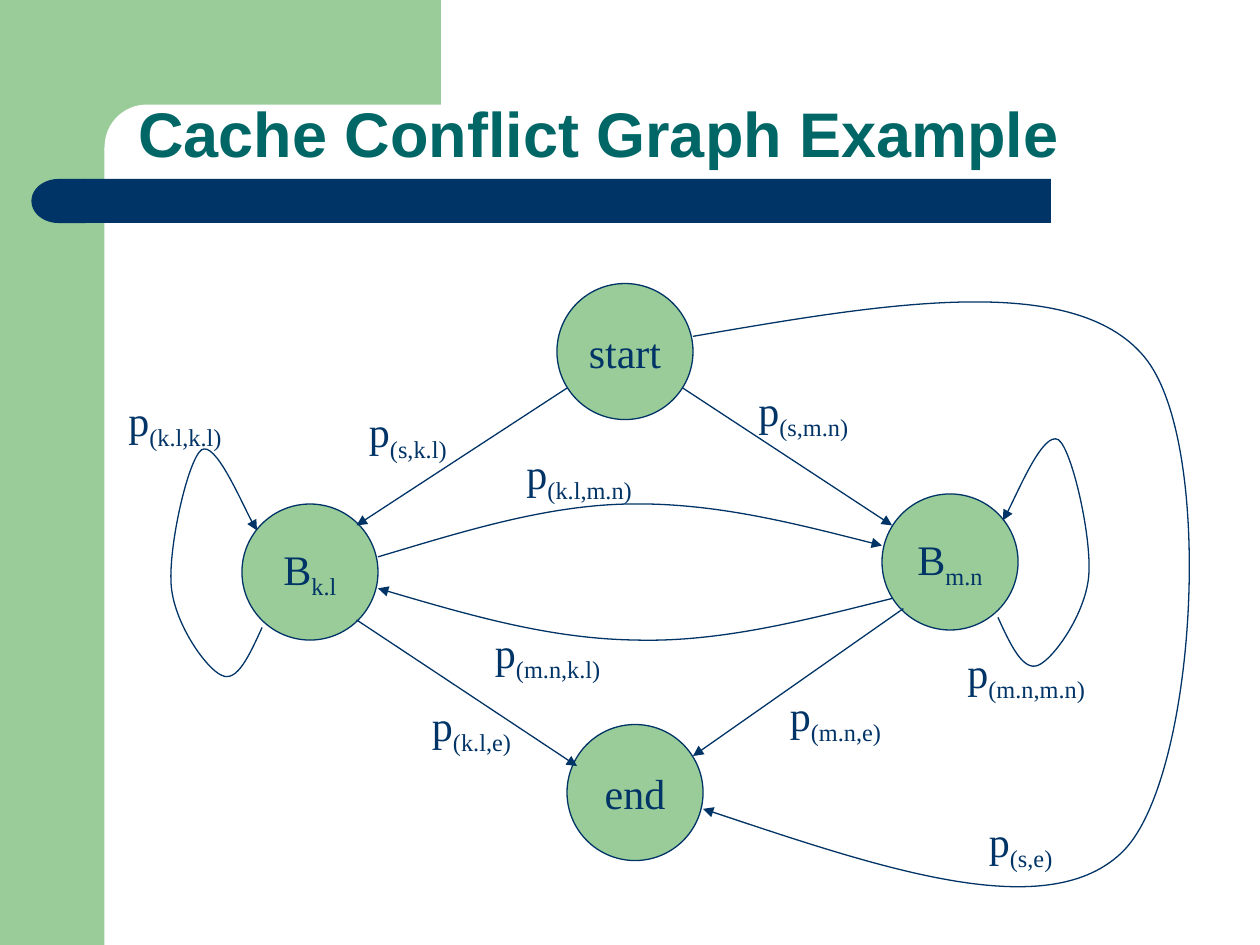
from lxml import etree
from pptx import Presentation
from pptx.dml.color import RGBColor
from pptx.enum.shapes import MSO_CONNECTOR, MSO_SHAPE
from pptx.enum.text import MSO_ANCHOR, MSO_AUTO_SIZE, PP_ALIGN
from pptx.oxml.ns import qn
from pptx.util import Inches, Pt

GREEN = RGBColor(0x99, 0xCC, 0x99)
NAVY = RGBColor(0x00, 0x33, 0x66)
TEAL = RGBColor(0x00, 0x66, 0x66)
WHITE = RGBColor(0xFF, 0xFF, 0xFF)
RECT, ROUND = MSO_SHAPE.RECTANGLE, MSO_SHAPE.ROUNDED_RECTANGLE
DELAY, OVAL = MSO_SHAPE.FLOWCHART_DELAY, MSO_SHAPE.OVAL
STRAIGHT = MSO_CONNECTOR.STRAIGHT
BOTTOM, MIDDLE = MSO_ANCHOR.BOTTOM, MSO_ANCHOR.MIDDLE
CENTER, FIT_SHAPE = PP_ALIGN.CENTER, MSO_AUTO_SIZE.SHAPE_TO_FIT_TEXT
TITLE_FONT, GRAPH_FONT = "Arial", "Times New Roman"
NODE_SIZE, LABEL_HEIGHT = 1.08, 0.56

# Positions in the graph are inches from the top left of its box
NODES = [
    (3.42, 0.25, "start", ""),
    (6, 1.92, "B", "m.n"),
    (3.5, 3.75, "end", ""),
    (0.92, 2, "B", "k.l"),
]
STRAIGHT_EDGES = [
    ((4.42, 1.08), (6.08, 2.17)),
    ((6.17, 2.83), (4.5, 4)),
    ((3.5, 1.08), (1.83, 2.17)),
    ((1.83, 2.92), (3.58, 4.08)),
]
# Start point, then two control points and an end point for each Bezier piece
CURVED_EDGES = [
    [(6.92, 2.9), (7.02, 3.12), (7.12, 3.33), (7.24, 3.28),
     (7.36, 3.23), (7.61, 2.88), (7.64, 2.58),
     (7.67, 2.28), (7.51, 1.57), (7.4, 1.49),
     (7.28, 1.42), (7.03, 2.02), (6.96, 2.13)],
    [(1.08, 2.98), (0.98, 3.2), (0.88, 3.42), (0.76, 3.36),
     (0.64, 3.31), (0.39, 2.96), (0.36, 2.66),
     (0.33, 2.36), (0.49, 1.65), (0.6, 1.57),
     (0.71, 1.5), (0.97, 2.11), (1.04, 2.21)],
    [(2, 2.42), (2.67, 2.22), (3.33, 2.01), (4, 2),
     (4.67, 1.99), (5.33, 2.16), (6, 2.33)],
    [(6.08, 2.75), (5.4, 2.92), (4.72, 3.1), (4.04, 3.08),
     (3.36, 3.07), (2.68, 2.87), (2, 2.67)],
    [(4.5, 0.67), (6.01, 0.41), (7.51, 0.15), (8.08, 0.83),
     (8.65, 1.51), (8.5, 4.15), (7.92, 4.75),
     (7.33, 5.35), (5.96, 4.88), (4.58, 4.42)],
]
LABELS = [
    (-0.08, 1.08, 1.08, "(k.l,k.l)"),
    (6.58, 3.08, 1.33, "(m.n,m.n)"),
    (1.83, 1.17, 1.08, "(s,k.l)"),
    (4.92, 1, 1.08, "(s,m.n)"),
    (3.08, 1.5, 1.25, "(k.l,m.n)"),
    (2.83, 2.92, 1.25, "(m.n,k.l)"),
    (2.33, 3.5, 1.08, "(k.l,e)"),
    (5.17, 3.42, 1.08, "(m.n,e)"),
    (6.75, 4.42, 1.08, "(s,e)"),
]


def add_filled(page, kind, left, top, width, height, color):
    shape = page.shapes.add_shape(
        kind, Inches(left), Inches(top), Inches(width), Inches(height))
    shape.shadow.inherit = False
    shape.fill.solid()
    shape.fill.fore_color.rgb = color
    shape.line.fill.background()
    return shape


def add_span(para, text, font, size, color, bold=False, subscript=False):
    span = para.add_run()
    span.text = text
    span.font.name, span.font.size, span.font.bold = font, Pt(size), bold
    span.font.color.rgb = color
    if subscript:
        span._r.get_or_add_rPr().set("baseline", "-25000")


def add_symbol(para, base, index):
    add_span(para, base, GRAPH_FONT, 24, NAVY)
    if index:
        add_span(para, index, GRAPH_FONT, 24, NAVY, subscript=True)


def style_edge(edge):
    edge.line.color.rgb = NAVY
    edge.line.width = Pt(0.75)
    etree.SubElement(edge.line._get_or_add_ln(), qn("a:tailEnd"), type="triangle")


def add_curve(page, points):
    """Draw the points as a freeform, then turn each three lines into a Bezier."""
    builder = page.shapes.build_freeform(*points[0])
    builder.add_line_segments(points[1:], close=False)
    curve = builder.convert_to_shape()
    curve.shadow.inherit = False
    curve.fill.background()
    outline = next(curve._element.iter(qn("a:path")))
    lines = outline.findall(qn("a:lnTo"))
    for first in range(0, len(lines), 3):
        bezier = etree.SubElement(outline, qn("a:cubicBezTo"))
        for line in lines[first:first + 3]:
            bezier.append(line[0])
            outline.remove(line)
    style_edge(curve)


def add_header(page, left, top):
    # Green corner with a rounded white cut-out
    add_filled(page, RECT, left, top, 0.83, 7.5, GREEN)
    add_filled(page, RECT, left + 0.75, top, 2.75, 1.17, GREEN)
    cutout = add_filled(page, ROUND, left + 0.83, top + 0.83, 5.58, 0.67, WHITE)
    cutout.adjustments[0] = 0.5

    # Navy bar with a round left end
    add_filled(page, RECT, left + 0.67, top + 1.42, 7.67, 0.35, NAVY)
    cap = add_filled(page, DELAY, left + 0.25, top + 1.42, 0.43, 0.35, NAVY)
    cap._element.spPr.get_or_add_xfrm().set("flipH", "1")

    # Title
    box = page.shapes.add_textbox(
        Inches(left + 1), Inches(top + 0.58), Inches(8.75), Inches(0.83))
    frame = box.text_frame
    frame.word_wrap = True
    frame.vertical_anchor = BOTTOM
    para = frame.paragraphs[0]
    para.line_spacing = 0.9
    add_span(para, "Cache Conflict Graph Example", TITLE_FONT, 36, TEAL, bold=True)


def add_graph(page, left, top):
    def placed(point):
        return Inches(left + point[0]), Inches(top + point[1])

    # Nodes
    for x, y, base, index in NODES:
        node = add_filled(page, OVAL, left + x, top + y, NODE_SIZE, NODE_SIZE, GREEN)
        node.line.color.rgb = NAVY
        node.line.width = Pt(0.75)
        frame = node.text_frame
        frame.word_wrap = False
        frame.vertical_anchor = MIDDLE
        para = frame.paragraphs[0]
        para.alignment = CENTER
        add_symbol(para, base, index)

    # Edges
    for start, end in STRAIGHT_EDGES:
        edge = page.shapes.add_connector(STRAIGHT, *placed(start), *placed(end))
        style_edge(edge)
        etree.SubElement(edge._element.spPr, qn("a:effectLst"))
    for points in CURVED_EDGES:
        add_curve(page, [placed(point) for point in points])

    # Edge labels
    for x, y, width, index in LABELS:
        box = page.shapes.add_textbox(
            *placed((x, y)), Inches(width), Inches(LABEL_HEIGHT))
        box.text_frame.word_wrap = True
        box.text_frame.auto_size = FIT_SHAPE
        add_symbol(box.text_frame.paragraphs[0], "p", index)


def main():
    deck = Presentation()
    deck.slide_width, deck.slide_height = Inches(10), Inches(7.5)
    page = deck.slides.add_slide(deck.slide_layouts[6])
    add_header(page, 0, 0)
    add_graph(page, 1, 2)
    deck.save("out.pptx")


if __name__ == "__main__":
    main()
